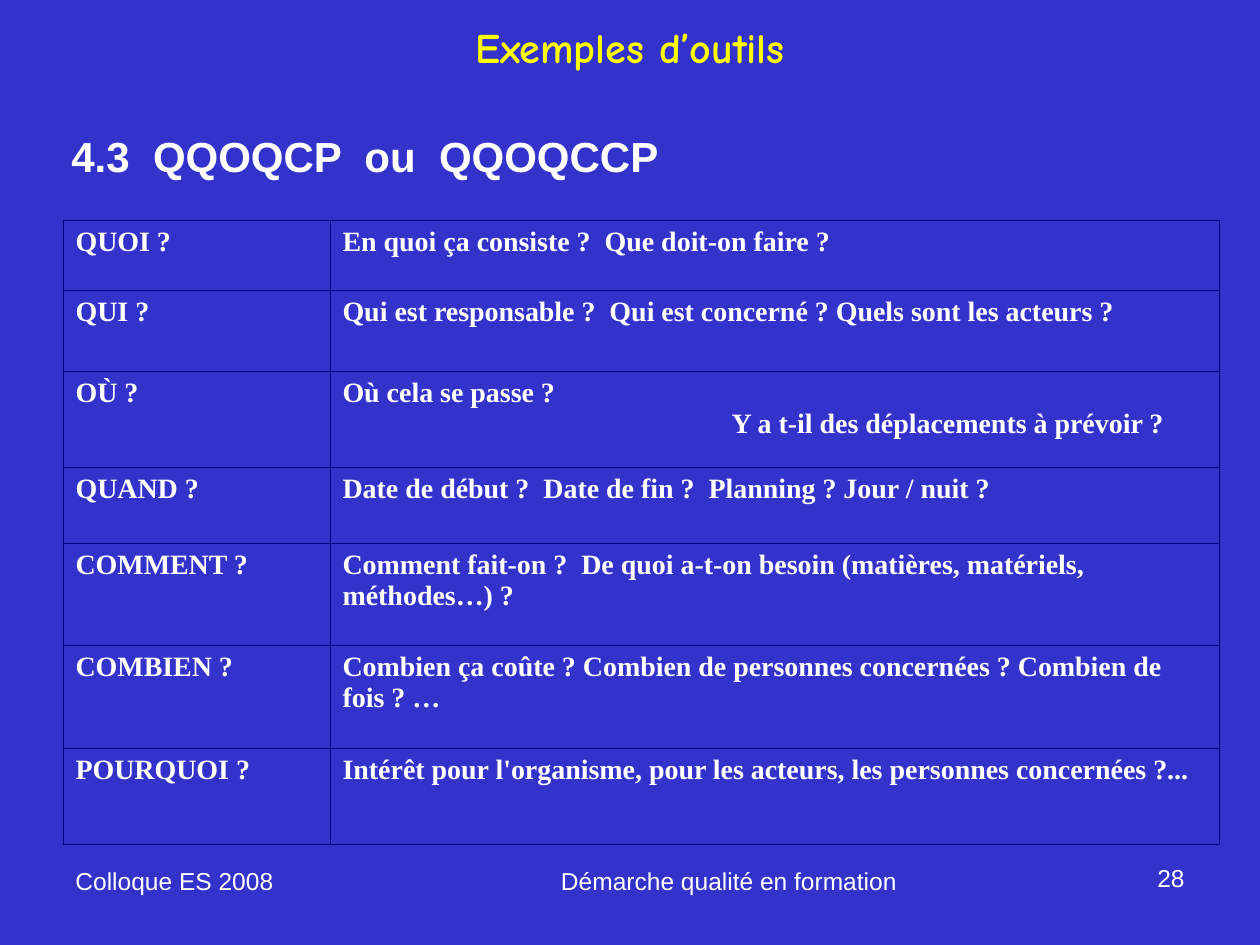
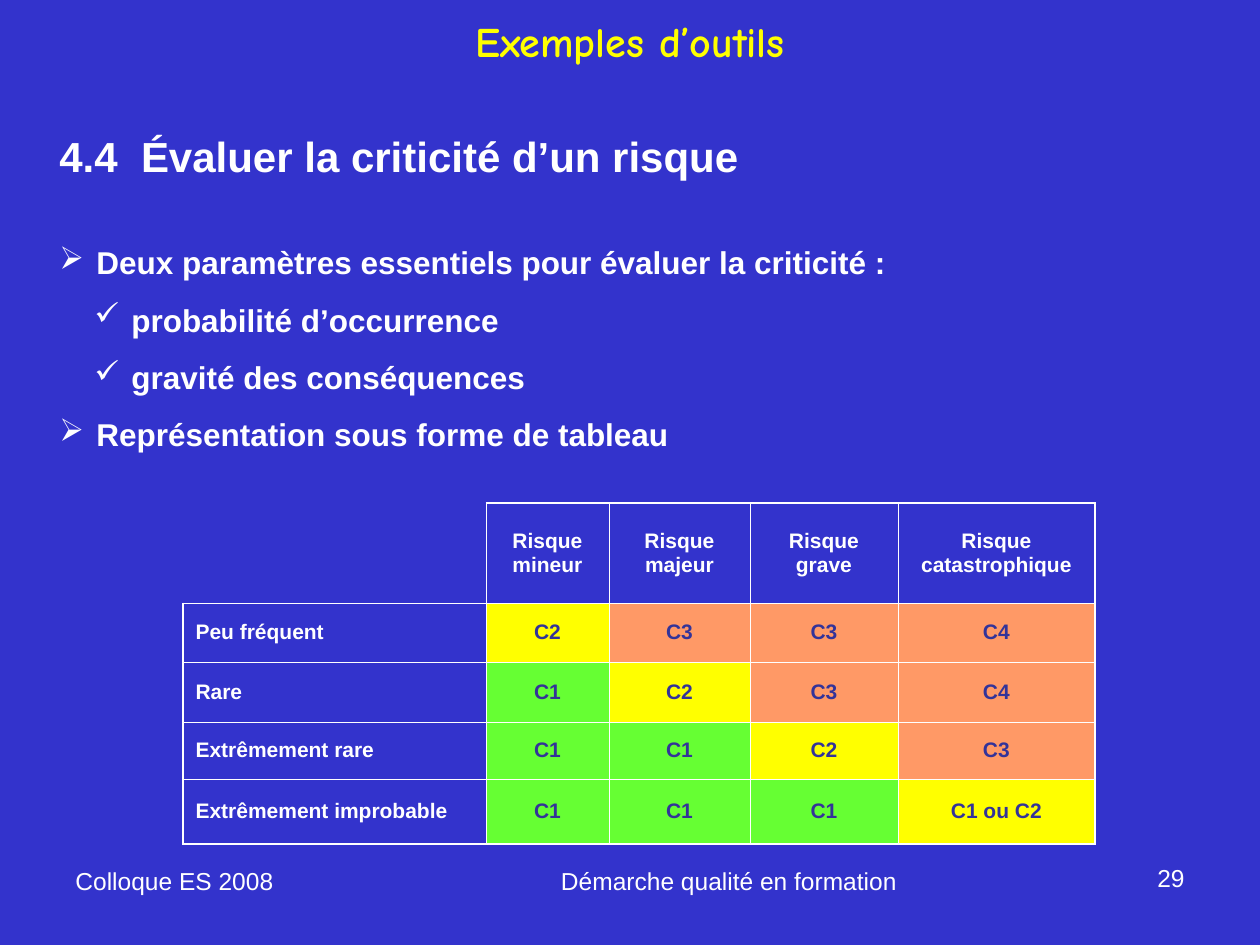
"""Builds two slides on quality tools: the QQOQCP questions and a risk criticality grid."""
from lxml import etree
from pptx import Presentation
from pptx.dml.color import RGBColor
from pptx.enum.text import MSO_ANCHOR, PP_ALIGN
from pptx.oxml.ns import qn
from pptx.util import Pt

EMU_PER_PX = 914400 / 126
LEFT, CENTER, RIGHT = PP_ALIGN.LEFT, PP_ALIGN.CENTER, PP_ALIGN.RIGHT
TOP, MIDDLE = MSO_ANCHOR.TOP, MSO_ANCHOR.MIDDLE

BLUE = RGBColor(0x33, 0x33, 0xCC)
NAVY = RGBColor(0x00, 0x00, 0x80)
INDIGO = RGBColor(0x33, 0x33, 0x99)
WHITE = RGBColor(0xFF, 0xFF, 0xFF)
YELLOW = RGBColor(0xFF, 0xFF, 0x00)
ORANGE = RGBColor(0xFF, 0x99, 0x66)
GREEN = RGBColor(0x66, 0xFF, 0x33)

SANS, SERIF, COMIC = "Arial", "Times New Roman", "Comic Neue"
THIN, THICK = 0.45, 1.08

TITLE = "Exemples d’outils"
FOOTERS = [
    ("Démarche qualité en formation", (431, 860, 596, 66), CENTER),
    ("Colloque ES 2008", (63, 860, 294, 66), LEFT),
]
NUMBER_BOX = (1089, 857, 108, 66)

QUESTIONS = [
    ("QUOI ?", ["En quoi ça consiste ?  Que doit-on faire ?"]),
    ("QUI ?", ["Qui est responsable ?  Qui est concerné ? Quels sont les acteurs ?"]),
    ("OÙ ?", ["Où cela se passe ?", "Y a t-il des déplacements à prévoir ?"]),
    ("QUAND ?", ["Date de début ?  Date de fin ?  Planning ? Jour / nuit ?"]),
    ("COMMENT ?", ["Comment fait-on ?  De quoi a-t-on besoin (matières, matériels, méthodes…) ?"]),
    ("COMBIEN ?", ["Combien ça coûte ? Combien de personnes concernées ? Combien de fois ? …"]),
    ("POURQUOI ?", ["Intérêt pour l'organisme, pour les acteurs, les personnes concernées ?..."]),
]
QUESTION_COLUMNS = [267, 889]
QUESTION_ROWS = [70, 81, 96, 76, 102, 103, 96]
FOLLOW_UP_INDENT = 389

BULLETS = [
    ("➢", 0, "Deux paramètres essentiels pour évaluer la criticité :"),
    ("✓", 1, "probabilité d’occurrence"),
    ("✓", 1, "gravité des conséquences"),
    ("➢", 0, "Représentation sous forme de tableau"),
]
BULLET_STEP, BULLET_HANG = 35, 37

RISKS = [
    ("", "Risque mineur", "Risque majeur", "Risque grave", "Risque catastrophique"),
    ("Peu fréquent", "C2", "C3", "C3", "C4"),
    ("Rare", "C1", "C2", "C3", "C4"),
    ("Extrêmement rare", "C1", "C1", "C2", "C3"),
    ("Extrêmement improbable", "C1", "C1", "C1", "C1 ou C2"),
]
RISK_COLUMNS = [303, 123, 141, 148, 197]
RISK_ROWS = [100, 59, 60, 57, 65]
LEVEL_FILLS = {"C1": GREEN, "C2": YELLOW, "C1 ou C2": YELLOW, "C3": ORANGE, "C4": ORANGE}


def px(length):
    return round(length * EMU_PER_PX)


def write(para, text, size, font=SANS, color=WHITE, bold=True, align=LEFT):
    para.alignment = align
    span = para.add_run()
    span.text = text
    span.font.size = Pt(size)
    span.font.name = font
    span.font.bold = bold
    span.font.color.rgb = color


def add_frame(page, place, anchor=TOP):
    frame = page.shapes.add_textbox(*map(px, place)).text_frame
    frame.word_wrap = True
    frame.vertical_anchor = anchor
    return frame


def add_label(page, place, text, size, anchor=TOP, **style):
    write(add_frame(page, place, anchor).paragraphs[0], text, size, **style)


def indent(para, left, first=0):
    properties = para._p.get_or_add_pPr()
    properties.set("marL", str(px(left)))
    properties.set("indent", str(px(first)))
    return properties


def set_borders(cell, color, widths):
    properties = cell._tc.get_or_add_tcPr()
    for side in "LRTB":
        width = widths[side]
        line = etree.SubElement(properties, qn(f"a:ln{side}"), w=str(Pt(width)))
        if width:
            fill = etree.SubElement(line, qn("a:solidFill"))
            etree.SubElement(fill, qn("a:srgbClr"), val=str(color))
        else:
            etree.SubElement(line, qn("a:noFill"))


def add_grid(page, left, top, columns, rows):
    place = map(px, (left, top, sum(columns), sum(rows)))
    table = page.shapes.add_table(len(rows), len(columns), *place).table
    table.first_row = table.horz_banding = False
    for column, width in zip(table.columns, columns):
        column.width = px(width)
    for row, height in zip(table.rows, rows):
        row.height = px(height)
    return table


def add_page(deck, number, title_height, heading, heading_left):
    page = deck.slides.add_slide(deck.slide_layouts[6])
    page.background.fill.solid()
    page.background.fill.fore_color.rgb = BLUE
    add_label(page, (0, 0, 1260, title_height), TITLE, 24, MIDDLE,
              font=COMIC, color=YELLOW, align=CENTER)
    add_label(page, (heading_left, 124, 1153, 63), heading, 24)
    for text, place, align in FOOTERS + [(str(number), NUMBER_BOX, RIGHT)]:
        add_label(page, place, text, 14, bold=False, align=align)
    return page


def add_questions(page):
    table = add_grid(page, 63, 220, QUESTION_COLUMNS, QUESTION_ROWS)
    for row, (question, answers) in enumerate(QUESTIONS):
        for column, lines in enumerate(([question], answers)):
            cell = table.cell(row, column)
            set_borders(cell, NAVY, dict.fromkeys("LRTB", THIN))
            cell.fill.background()
            for index, line in enumerate(lines):
                frame = cell.text_frame
                para = frame.add_paragraph() if index else frame.paragraphs[0]
                if index:
                    indent(para, FOLLOW_UP_INDENT)
                write(para, line, 16, SERIF)


def add_bullets(page):
    frame = add_frame(page, (47, 237, 1153, 223))
    for index, (mark, level, text) in enumerate(BULLETS):
        para = frame.add_paragraph() if index else frame.paragraphs[0]
        properties = indent(para, level * BULLET_STEP + BULLET_HANG, -BULLET_HANG)
        etree.SubElement(properties, qn("a:buChar"), char=mark)
        if index:
            para.space_before = Pt(11.2)
        write(para, text, 18)


def add_risks(page):
    table = add_grid(page, 183, 503, RISK_COLUMNS, RISK_ROWS)
    last_row, last_column = len(RISK_ROWS) - 1, len(RISK_COLUMNS) - 1
    for row, texts in enumerate(RISKS):
        for column, text in enumerate(texts):
            cell = table.cell(row, column)
            outer = THICK if text else 0
            set_borders(cell, WHITE, {
                "L": THIN if column else outer,
                "R": THICK if column == last_column else THIN,
                "T": THIN if row else outer,
                "B": THICK if row == last_row else THIN,
            })
            cell.vertical_anchor = MIDDLE
            level_fill = LEVEL_FILLS.get(text)
            if level_fill:
                cell.fill.solid()
                cell.fill.fore_color.rgb = level_fill
            else:
                cell.fill.background()
            if text:
                write(cell.text_frame.paragraphs[0], text, 12,
                      color=INDIGO if level_fill else WHITE,
                      align=CENTER if column else LEFT)


def main():
    deck = Presentation()
    deck.slide_width, deck.slide_height = px(1260), px(945)
    add_questions(add_page(deck, 28, 93, "4.3  QQOQCP  ou  QQOQCCP", 59))
    risk_page = add_page(deck, 29, 82, "4.4  Évaluer la criticité d’un risque", 47)
    add_bullets(risk_page)
    add_risks(risk_page)
    deck.save("out.pptx")


if __name__ == "__main__":
    main()
